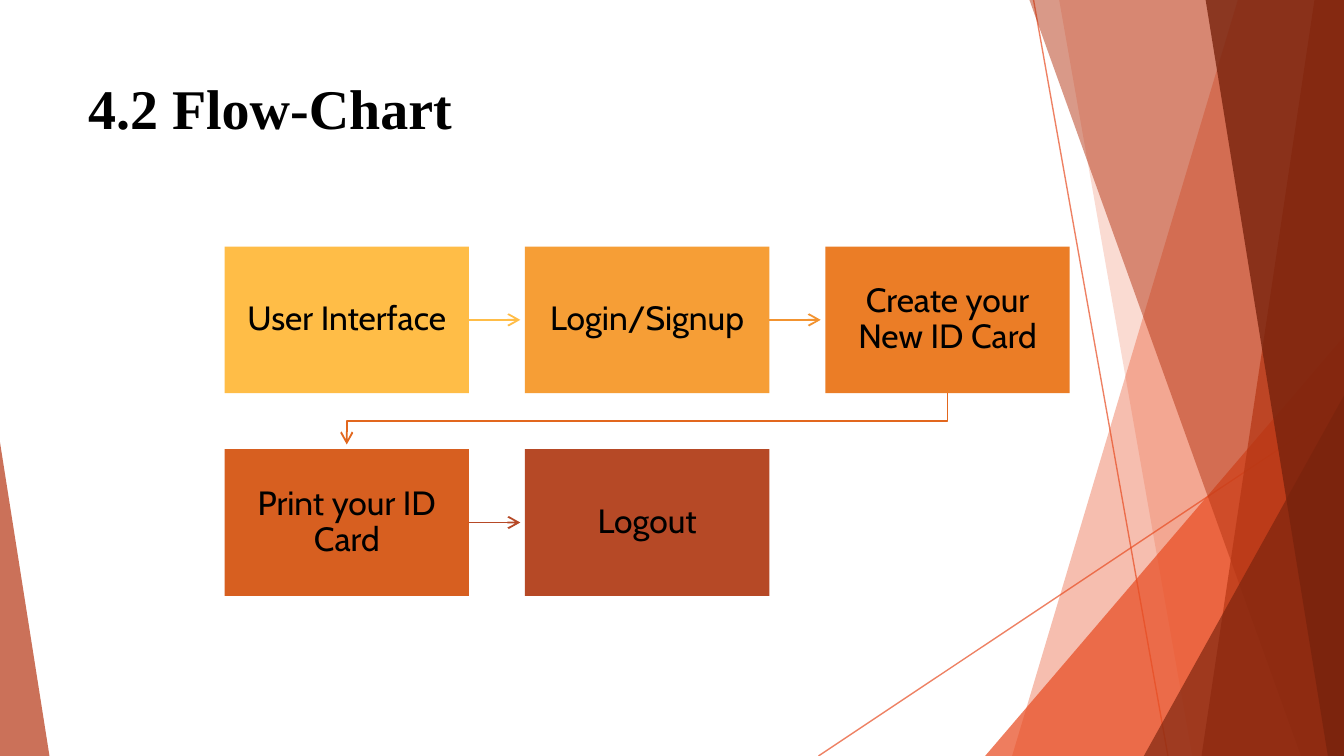
from lxml.etree import SubElement
from pptx import Presentation
from pptx.dml.color import RGBColor
from pptx.enum.shapes import MSO_CONNECTOR, MSO_SHAPE
from pptx.enum.text import MSO_ANCHOR, PP_ALIGN
from pptx.oxml.ns import qn
from pptx.util import Pt

WIDE, HIGH = 720, 405
INK = {
    "text": "000000", "red": "E84C22", "rust": "B53513", "dark": "78230D",
    "gold": "FFBD47", "amber": "F69E36", "orange": "EB7D26",
    "burnt": "D75F20", "brick": "B64926",
    "link": "F29330", "bend": "E2671E",
}
STEPS = [
    ("User Interface", "gold"), ("Login/Signup", "amber"),
    ("Create your New ID Card", "orange"),
    ("Print your ID Card", "burnt"), ("Logout", "brick"),
]
LINKS = ["gold", "link", "bend", "brick"]


def paint(fill, name, alpha=100):
    fill.solid()
    fill.fore_color.rgb = RGBColor.from_string(INK[name])
    if alpha < 100:
        color = fill._xPr.find(qn("a:solidFill"))[0]
        SubElement(color, qn("a:alpha"), val=str(alpha * 1000))


def block(shape, name, alpha=100):
    shape.shadow.inherit = False
    paint(shape.fill, name, alpha)
    shape.line.fill.background()


def stroke(shape, name, width, alpha=100, arrow=False):
    if shape._element.spPr.find(qn("a:effectLst")) is None:
        SubElement(shape._element.spPr, qn("a:effectLst"))
    shape.line.width = Pt(width)
    paint(shape.line.fill, name, alpha)
    if arrow:
        SubElement(shape.line._ln, qn("a:tailEnd"), type="arrow")


def line(slide, ends, name, width, **style):
    link = slide.shapes.add_connector(
        MSO_CONNECTOR.STRAIGHT, *[Pt(v) for v in ends])
    stroke(link, name, width, **style)


def trace(slide, points, close=True):
    first, *rest = [(Pt(x), Pt(y)) for x, y in points]
    pen = slide.shapes.build_freeform(*first)
    pen.add_line_segments(rest, close=close)
    return pen.convert_to_shape()


def write(frame, text, font, size, bold=False, align=PP_ALIGN.LEFT,
          anchor=MSO_ANCHOR.TOP, inset=(7.2, 3.6), space=1):
    frame.word_wrap = True
    frame.vertical_anchor = anchor
    frame.margin_left = frame.margin_right = Pt(inset[0])
    frame.margin_top = frame.margin_bottom = Pt(inset[1])
    para = frame.paragraphs[0]
    para.alignment = align
    para.line_spacing = space
    run = para.add_run()
    run.text = text
    run.font.name = font
    run.font.size = Pt(size)
    run.font.bold = bold
    run.font.color.rgb = RGBColor.from_string(INK["text"])


def wedge(slide, x, y, wide, high, tip, name, alpha):
    shape = slide.shapes.add_shape(
        MSO_SHAPE.ISOSCELES_TRIANGLE, Pt(x), Pt(y), Pt(wide), Pt(high))
    shape.adjustments[0] = tip
    block(shape, name, alpha)


def facets(slide, x, y, wide, high):
    right, low = x + wide, y + high

    def band(top, base, name, alpha):
        points = [(x + top, y), (right, y), (right, low), (x + base, low)]
        block(trace(slide, points), name, alpha)

    def corner(span, rise, name, alpha):
        wedge(slide, right - span, low - rise, span, rise, 1, name, alpha)

    line(slide, (x + 115.2, y, x + 187.2, low), "red", 0.75, alpha=70)
    line(slide, (right, y + 217.4, x, low), "red", 0.75, alpha=70)
    band(224.64, 103.7, "red", 36)
    band(128.9, 200.2, "red", 20)
    corner(192.2, 224.8, "red", 72)
    band(113, 258.5, "rust", 50)
    band(265.7, 205.2, "rust", 70)
    band(207.4, 272.9, "dark", 80)
    corner(107.2, 193, "dark", 66)
    wedge(slide, 0, low - 168, 26.5, 168, 0, "rust", 70)


def head(slide, x, y, wide, high):
    title = slide.shapes.title
    title.left, title.top = Pt(x), Pt(y)
    title.width, title.height = Pt(wide), Pt(high)
    write(title.text_frame, "4.2 Flow-Chart", "Times New Roman", 30, bold=True)


def flow(slide, x, y, wide, high, cols=3, gap=30):
    cell = (wide - gap * (cols - 1)) / cols
    tall = (high - gap) / 2
    reach = gap - 2.5
    spots = [(x + i % cols * (cell + gap), y + i // cols * (tall + gap))
             for i in range(len(STEPS))]
    for (left, top), (text, name) in zip(spots, STEPS):
        box = slide.shapes.add_shape(
            MSO_SHAPE.RECTANGLE, Pt(left), Pt(top), Pt(cell), Pt(tall))
        block(box, name)
        write(box.text_frame, text, "Cabin", 18, align=PP_ALIGN.CENTER,
              anchor=MSO_ANCHOR.MIDDLE, inset=(10, 10), space=0.9)
    for (left, top), after, name in zip(spots, spots[1:], LINKS):
        if after[1] == top:
            start, mid = left + cell, top + tall / 2
            line(slide, (start, mid, start + reach, mid), name, 1, arrow=True)
        else:
            start, end, base = left + cell / 2, after[0] + cell / 2, top + tall
            bend = trace(slide, [(start, base), (start, base + gap / 2),
                                 (end, base + gap / 2), (end, base + reach)],
                         close=False)
            bend.fill.background()
            stroke(bend, name, 1, arrow=True)


def main():
    deck = Presentation()
    deck.slide_width, deck.slide_height = Pt(WIDE), Pt(HIGH)
    slide = deck.slides.add_slide(deck.slide_layouts[5])
    facets(slide, 438.5, 0, WIDE - 438.5, HIGH)
    head(slide, 40, 36, 507.6, 77.8)
    flow(slide, 120.3, 132.1, 452.8, 187.1)
    deck.save("out.pptx")


if __name__ == "__main__":
    main()
